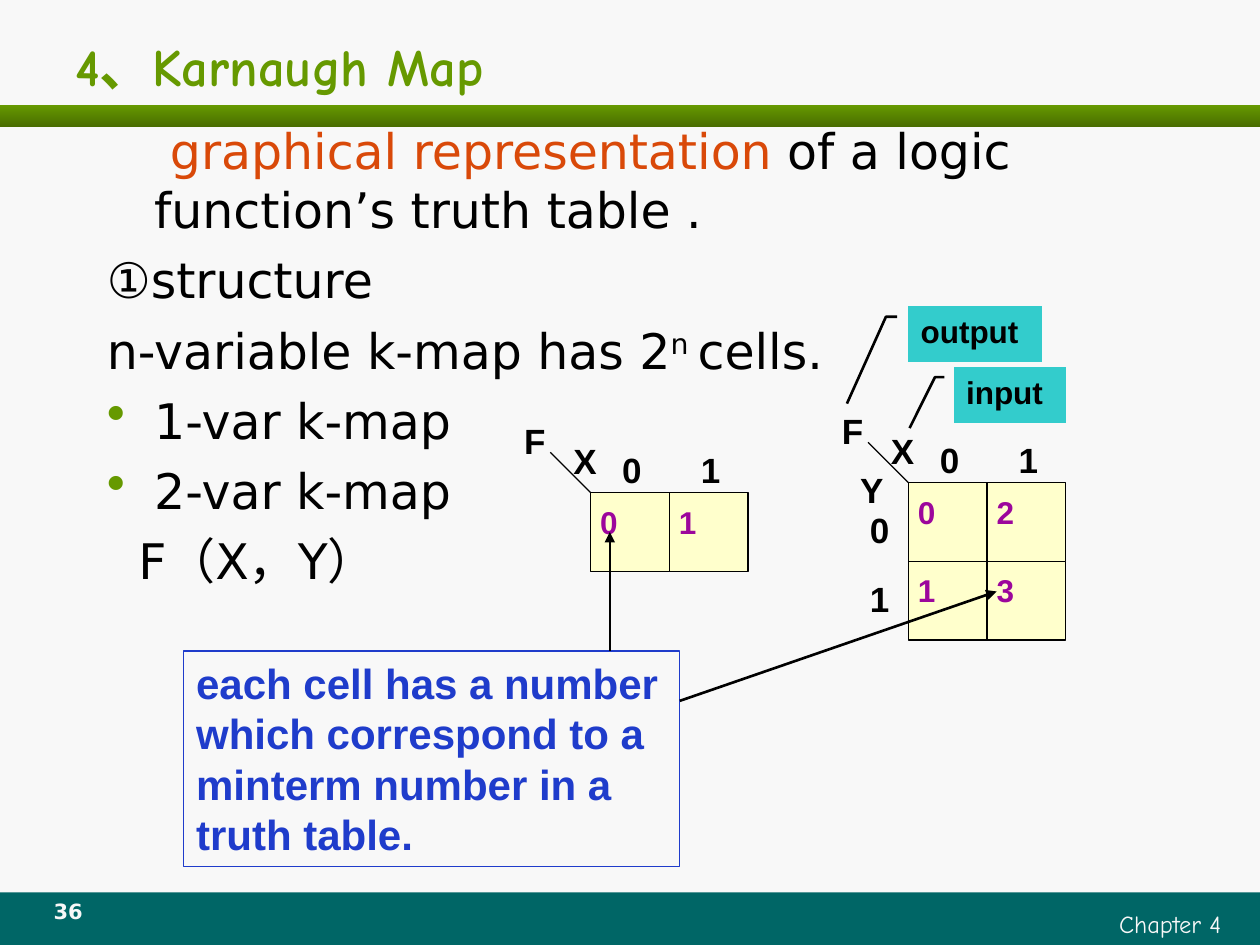
from pptx import Presentation
from pptx.dml.color import RGBColor
from pptx.enum.shapes import MSO_CONNECTOR, MSO_SHAPE
from pptx.enum.text import MSO_ANCHOR, PP_ALIGN
from pptx.oxml.ns import qn
from pptx.util import Pt
from lxml.etree import SubElement

PAPER = RGBColor(0xF8, 0xF8, 0xF8)
TEAL = RGBColor(0x00, 0x66, 0x66)
GREEN = RGBColor(0x66, 0x99, 0x00)
DARK_GREEN = RGBColor(0x49, 0x6D, 0x00)
BLACK = RGBColor(0x00, 0x00, 0x00)
ORANGE = RGBColor(0xD9, 0x49, 0x09)
CREAM = RGBColor(0xFF, 0xFF, 0xCC)
PURPLE = RGBColor(0x9C, 0x06, 0x9C)
BLUE = RGBColor(0x1F, 0x3C, 0xCB)
CYAN = RGBColor(0x33, 0xCC, 0xCC)

# Body lines: first-line indent, bulleted, runs of (text, colour, superscript)
BODY = [
    (9, False, [("graphical representation", ORANGE, False),
                (" of a logic function’s truth table .", BLACK, False)]),
    (-27, False, [("①structure", BLACK, False)]),
    (-27, False, [("n-variable k-map has 2", BLACK, False),
                  ("n ", BLACK, True), ("cells.", BLACK, False)]),
    (-27, True, [("1-var k-map", BLACK, False)]),
    (-27, True, [("2-var k-map", BLACK, False)]),
    (-9, False, [("F（X，Y）", BLACK, False)]),
]

# Karnaugh maps: left, top and row count of the cell grid
MAPS = [(337.5, 281.5, 1), (519, 275.75, 2)]
CELL = 45
COLUMNS = 2

NOTE = ("each cell has a number which correspond to a minterm number "
        "in a truth table.")
NOTE_ARROWS = [((348.5, 372), (348.5, 304)), ((388.5, 400.5), (569.5, 338))]

# Callouts: text, box, leader line points as (y, x) fractions of the box
CALLOUTS = [
    ("input", (545, 209.5, 64, 32), (0.188, -0.083, 0.188, -0.167, 1.097, -0.394)),
    ("output", (519, 175, 76.5, 32), (0.188, -0.083, 0.188, -0.167, 1.738, -0.458)),
]

presentation = Presentation()
presentation.slide_width, presentation.slide_height = Pt(720), Pt(540)
slide = presentation.slides.add_slide(presentation.slide_layouts[6])
slide.background.fill.solid()
slide.background.fill.fore_color.rgb = PAPER


def add_box(box, fill=None, line=None, line_width=0.75, kind=MSO_SHAPE.RECTANGLE):
    shape = slide.shapes.add_shape(kind, *map(Pt, box))
    shape.shadow.inherit = False
    if fill is None:
        shape.fill.background()
    else:
        shape.fill.solid()
        shape.fill.fore_color.rgb = fill
    if line is None:
        shape.line.fill.background()
    else:
        shape.line.color.rgb = line
        shape.line.width = Pt(line_width)
    return shape


def style(paragraph, size, font_name, color=None, bold=False):
    font = paragraph.font
    font.size, font.name, font.bold = Pt(size), font_name, bold
    if color is not None:
        font.color.rgb = color


def write(shape, text, size, font_name, color, bold=True, align=PP_ALIGN.LEFT,
          anchor=MSO_ANCHOR.TOP, margin=None):
    frame = shape.text_frame
    frame.word_wrap = True
    frame.vertical_anchor = anchor
    if margin is not None:
        frame.margin_left = frame.margin_right = Pt(margin)
        frame.margin_top = frame.margin_bottom = Pt(margin)
    paragraph = frame.paragraphs[0]
    paragraph.text, paragraph.alignment = text, align
    style(paragraph, size, font_name, color, bold)


def add_text(box, *args, **options):
    write(slide.shapes.add_textbox(*map(Pt, box)), *args, **options)


def add_line(start, end, width, arrow=False):
    line = slide.shapes.add_connector(MSO_CONNECTOR.STRAIGHT, *map(Pt, start + end))
    line.line.color.rgb = BLACK
    line.line.width = Pt(width)
    if arrow:
        SubElement(line.line._get_or_add_ln(), qn("a:tailEnd"), type="triangle")
    SubElement(line._element.spPr, qn("a:effectLst"))


def add_bullet(paragraph):
    properties = paragraph._p.get_or_add_pPr()
    bullet_color = SubElement(properties, qn("a:buClr"))
    SubElement(bullet_color, qn("a:srgbClr"), val=str(GREEN))
    SubElement(properties, qn("a:buSzPct"), val="110000")
    SubElement(properties, qn("a:buChar"), char="•")


def add_map(left, top, rows):
    add_line((left, top), (left - 23, top - 23), 0.75)
    labels = [("F", -45, -45.5), ("X", -17, -34)]
    labels += [(str(column), 11 + column * CELL, -28.5) for column in range(COLUMNS)]
    if rows > 1:
        labels.append(("Y", -34.5, -11.5))
        labels += [(str(row), -29, 11.5 + row * 39.5) for row in range(rows)]
    for text, x, y in labels:
        add_text((left + x, top + y, 28, 31), text, 20, "Arial", BLACK)
    for column in range(COLUMNS):
        for row in range(rows):
            x, y = left + column * CELL, top + row * CELL
            add_box((x, y, CELL, CELL), CREAM, BLACK)
            number = add_box((x + 5.5, y + 5.75, 17, 21.5), CREAM)
            write(number, str(column * rows + row), 18, "Arial", PURPLE, margin=0)


# Bands, footer and title
add_box((0, 510, 720, 30), TEAL)
title_band = add_box((0, 60.25, 720, 12.25), GREEN)
title_band.fill.gradient()
title_band.fill.gradient_angle = 270
for stop, color in zip(title_band.fill.gradient_stops, (GREEN, DARK_GREEN)):
    stop.color.rgb = color
add_text((417, 516, 288, 24), "Chapter 4", 14, "Comic Neue", PAPER,
         bold=False, align=PP_ALIGN.RIGHT)
add_text((18, 510, 42, 24), "36", 12, "DejaVu Sans", PAPER, align=PP_ALIGN.CENTER)
add_text((36, 15, 648, 45), "4、Karnaugh Map", 30, "Comic Neue", GREEN,
         anchor=MSO_ANCHOR.MIDDLE)

# Body text
body = slide.shapes.add_textbox(Pt(54), Pt(65.5), Pt(635), Pt(453.5)).text_frame
body.word_wrap = True
for index, (indent, bulleted, runs) in enumerate(BODY):
    paragraph = body.add_paragraph() if index else body.paragraphs[0]
    properties = paragraph._p.get_or_add_pPr()
    properties.set("marL", str(Pt(27)))
    properties.set("indent", str(Pt(indent)))
    if bulleted:
        add_bullet(paragraph)
    if index:
        paragraph.space_before = Pt(6.5)
    style(paragraph, 28, "DejaVu Sans")
    for text, color, superscript in runs:
        run = paragraph.add_run()
        run.text = text
        run.font.color.rgb = color
        if superscript:
            run.font._element.set("baseline", "30000")

# Karnaugh maps
for karnaugh_map in MAPS:
    add_map(*karnaugh_map)

# Note with arrows to the cell numbers
write(add_box((105, 372, 283.5, 123), line=BLUE), NOTE, 24, "Arial", BLUE)
for start, end in NOTE_ARROWS:
    add_line(start, end, 1.5, arrow=True)

# Callouts
for text, box, leader in CALLOUTS:
    callout = add_box(box, CYAN, BLACK, 1.5, MSO_SHAPE.LINE_CALLOUT_2_NO_BORDER)
    for index, value in enumerate(leader):
        callout.adjustments[index] = value
    write(callout, text, 18, "Arial", BLACK)

presentation.save("out.pptx")
